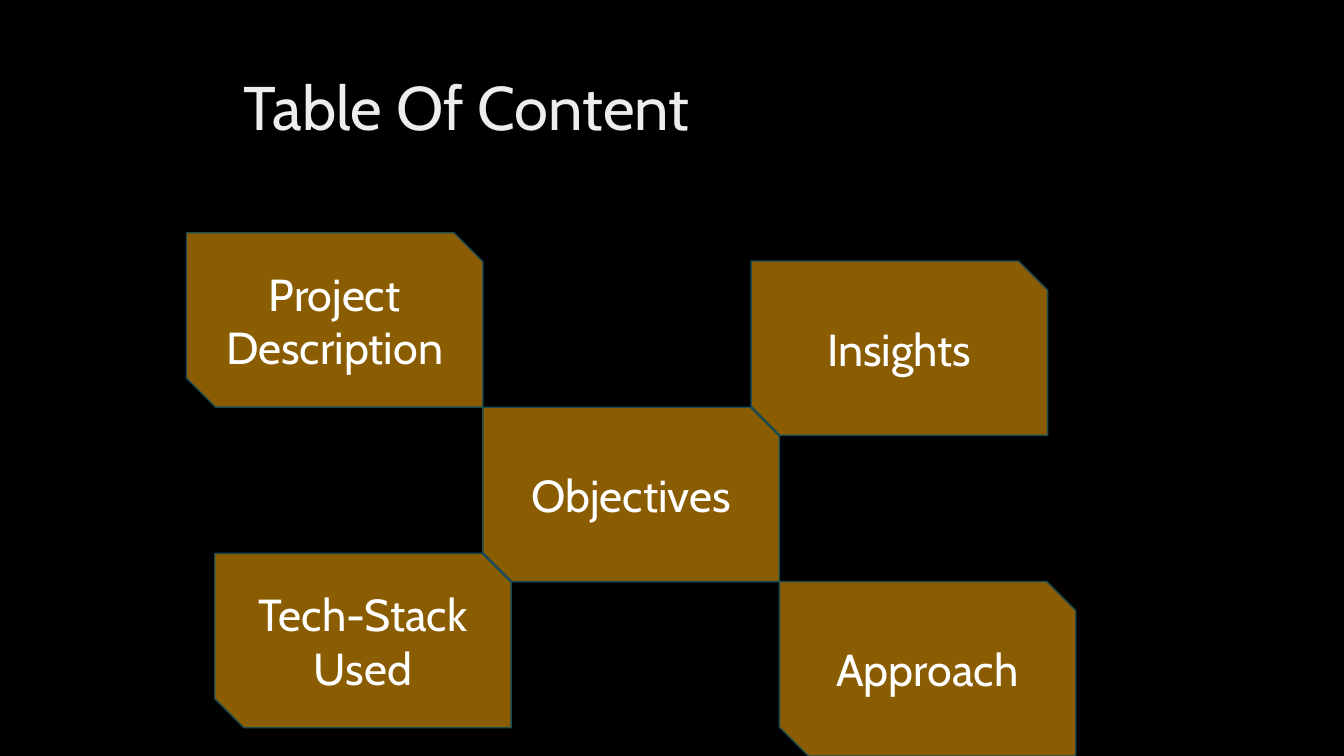
from pptx import Presentation
from pptx.dml.color import RGBColor
from pptx.enum.shapes import MSO_SHAPE
from pptx.enum.text import MSO_ANCHOR, PP_ALIGN
from pptx.util import Emu, Pt

SNIPPED = MSO_SHAPE.SNIP_2_DIAG_RECTANGLE
MIDDLE = MSO_ANCHOR.MIDDLE
CENTER = PP_ALIGN.CENTER
TITLE_ONLY = 5
PX = 9144  # 100 px to the inch

COLORS = {
    "background": "000000",
    "title": "EDEDED",
    "card": "8A5D02",
    "outline": "1C4C53",
    "label": "FFFFFF",
}


def color(name):
    return RGBColor.from_string(COLORS[name])


class SlideBuilder:
    font_name = "Cabin"

    def __init__(self, presentation):
        layout = presentation.slide_layouts[TITLE_ONLY]
        self.slide = presentation.slides.add_slide(layout)
        fill = self.slide.background.fill
        fill.solid()
        fill.fore_color.rgb = color("background")

    def set_text(self, shape, text, size, color_name, line_spacing=1.0):
        frame = shape.text_frame
        frame.text = text
        frame.word_wrap = True
        frame.vertical_anchor = MIDDLE
        paragraph = frame.paragraphs[0]
        paragraph.alignment = CENTER
        paragraph.line_spacing = line_spacing
        font = paragraph.runs[0].font
        font_format = {"name": self.font_name, "size": Pt(size), "bold": False}
        for attribute, value in font_format.items():
            setattr(font, attribute, value)
        font.color.rgb = color(color_name)

    def title(self, text, left, top, width, height):
        shape = self.slide.shapes.title
        box = {"left": left, "top": top, "width": width, "height": height}
        for attribute, value in box.items():
            setattr(shape, attribute, Emu(value * PX))
        self.set_text(shape, text, 44, "title", line_spacing=0.9)

    def card(self, text, left, top, width, height):
        box = [Emu(value * PX) for value in (left, top, width, height)]
        shape = self.slide.shapes.add_shape(SNIPPED, *box)
        shape.shadow.inherit = False
        shape.fill.solid()
        shape.fill.fore_color.rgb = color("card")
        shape.line.color.rgb = color("outline")
        shape.line.width = Pt(1)
        self.set_text(shape, text, 32, "label")


def main():
    presentation = Presentation()
    presentation.slide_width = Emu(1333 * PX)
    presentation.slide_height = Emu(750 * PX)
    builder = SlideBuilder(presentation)

    # Title
    builder.title("Table Of Content", 147, 46, 632, 127)

    # Cards on a 3 by 3 grid; two corners move inward by the snip
    left, top, width, height, snip = 185, 231, 294, 173, 28
    cards = [
        ("Project Description", 0, 0, 0),
        ("Objectives", 1, 1, 0),
        ("Approach", 2, 2, 0),
        ("Tech-Stack Used", 0, 2, snip),
        ("Insights", 2, 0, -snip),
    ]
    for text, column, row, shift in cards:
        builder.card(text, left + column * width + shift,
                     top + row * height - shift, width, height)

    presentation.save("out.pptx")


if __name__ == "__main__":
    main()
